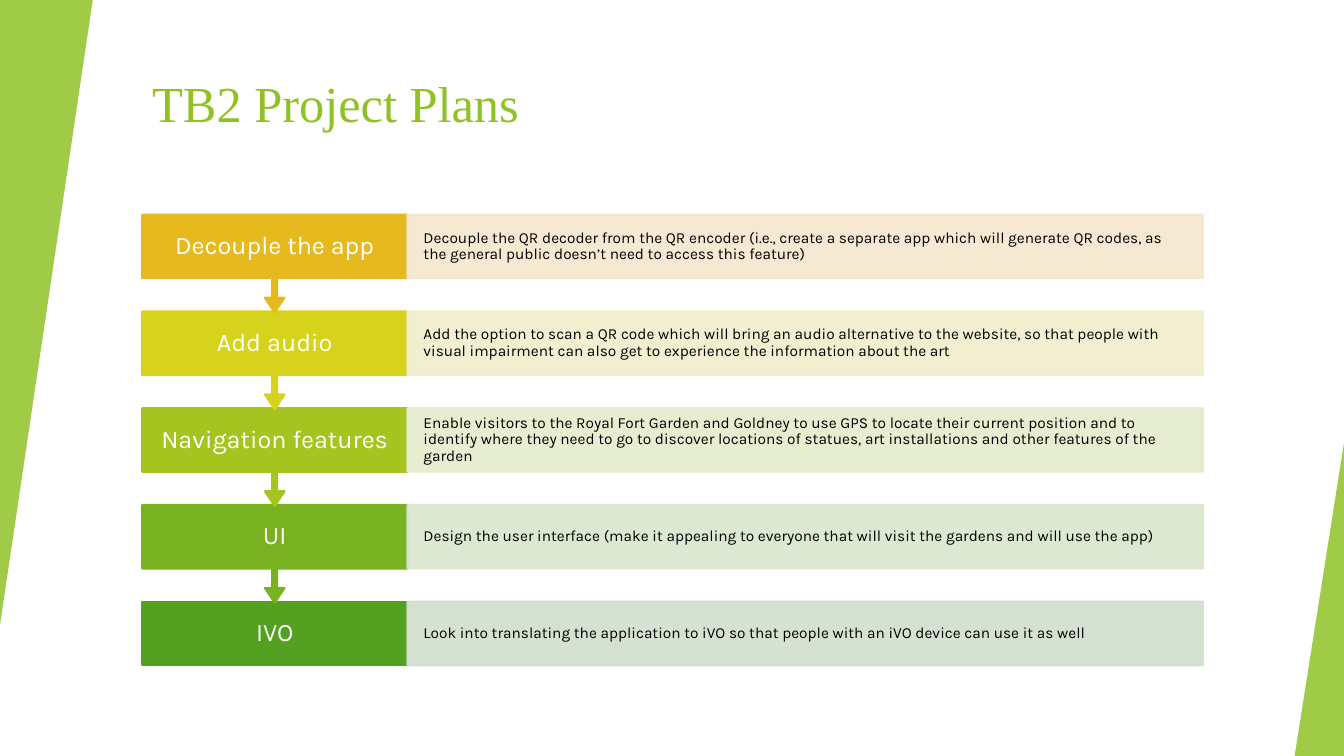
import pptx
import pptx.util
import pptx.dml.color
import pptx.enum.shapes
import pptx.enum.text
import pptx.oxml.ns
import lxml.etree
from dataclasses import dataclass

Inches = pptx.util.Inches
Shape = pptx.enum.shapes.MSO_SHAPE
Align = pptx.enum.text.PP_ALIGN
Anchor = pptx.enum.text.MSO_ANCHOR

TITLE = "TB2 Project Plans"
# Step name, strong colour, pale colour, description
STEPS = [
    ("Decouple the app", "E6B91E", "F5E7CD",
     "Decouple the QR decoder from the QR encoder (i.e., create a separate app which will "
     "generate QR codes, as the general public doesn’t need to access this feature)"),
    ("Add audio", "D7D31D", "F1EECC",
     "Add the option to scan a QR code which will bring an audio alternative to the website, "
     "so that people with visual impairment can also get to experience the information "
     "about the art"),
    ("Navigation features", "A5C41F", "E5ECCB",
     "Enable visitors to the Royal Fort Garden and Goldney to use GPS to locate their current "
     "position and to identify where they need to go to discover locations of statues, art "
     "installations and other features of the garden"),
    ("UI", "79B220", "D9E6CC",
     "Design the user interface (make it appealing to everyone that will visit the gardens "
     "and will use the app)"),
    ("IVO", "54A021", "D1DFCD",
     "Look into translating the application to iVO so that people with an iVO device can "
     "use it as well"),
]


@dataclass(frozen=True)
class Theme:
    accent: str = "90C226"
    light: str = "FFFFFF"
    dark: str = "000000"
    title_font: str = "Times New Roman"
    body_font: str = "Karla"
    title_size: int = 36
    step_size: int = 18
    detail_size: int = 11
    outline: float = 1.5
    wedge_opacity: int = 85
    detail_opacity: int = 90


THEME = Theme()
SLIDE_WIDTH, SLIDE_HEIGHT = 13.33, 7.5
LEFT, TOP = 1.41, 2.13
STEP_WIDTH, DETAIL_WIDTH = 2.63, 7.89
ROW_HEIGHT, ROW_PITCH, CALLOUT_HEIGHT = 0.63, 0.96, 0.97
CALLOUT_ADJUSTMENTS = (0.05, 0.1, 0.15, 0.65)


def rgb(color):
    return pptx.dml.color.RGBColor.from_string(color)


def set_opacity(element, percent):
    """Make every solid colour below the element partly transparent."""
    for color in element.iter(pptx.oxml.ns.qn("a:srgbClr")):
        alpha = lxml.etree.SubElement(color, pptx.oxml.ns.qn("a:alpha"))
        alpha.set("val", str(percent * 1000))


def add_block(slide, preset, place, color, opacity=100, outlined=True):
    block = slide.shapes.add_shape(preset, *map(Inches, place))
    block.shadow.inherit = False
    block.fill.solid()
    block.fill.fore_color.rgb = rgb(color)
    if outlined:
        block.line.color.rgb = rgb(color)
        block.line.width = pptx.util.Pt(THEME.outline)
    else:
        block.line.fill.background()
    if opacity < 100:
        set_opacity(block._element.spPr, opacity)
    return block


def write(shape, text, font, size, color, align, anchor, margins):
    """Fill the shape with one paragraph; margins are (horizontal, vertical)."""
    frame = shape.text_frame
    frame.word_wrap = True
    frame.auto_size = pptx.enum.text.MSO_AUTO_SIZE.NONE
    frame.vertical_anchor = anchor
    frame.margin_left = frame.margin_right = Inches(margins[0])
    frame.margin_top = frame.margin_bottom = Inches(margins[1])
    para = frame.paragraphs[0]
    para.alignment = align
    para.line_spacing = 0.9 if anchor == Anchor.MIDDLE else 1.0
    span = para.add_run()
    span.text = text
    span.font.name = font
    span.font.size = pptx.util.Pt(size)
    span.font.color.rgb = rgb(color)


def add_title(slide):
    title = slide.shapes.title
    title.left, title.top = Inches(LEFT), Inches(0.67)
    title.width, title.height = Inches(11.15), Inches(1.2)
    write(title, TITLE, THEME.title_font, THEME.title_size, THEME.accent,
          Align.LEFT, Anchor.TOP, (0.1, 0.05))


def add_wedges(slide):
    right_width, right_height = 0.49, 3.11
    wedges = [
        ((0, 0, 0.92, 6.2), 180),
        ((SLIDE_WIDTH - right_width, SLIDE_HEIGHT - right_height,
          right_width, right_height), 0),
    ]
    for place, rotation in wedges:
        wedge = add_block(slide, Shape.ISOSCELES_TRIANGLE, place, THEME.accent,
                          THEME.wedge_opacity, outlined=False)
        wedge.adjustments[0] = 1
        wedge.rotation = rotation


def add_step(slide, index):
    name, strong, pale, detail = STEPS[index]
    top = TOP + index * ROW_PITCH
    if index == len(STEPS) - 1:
        step = add_block(slide, Shape.RECTANGLE,
                         (LEFT, top, STEP_WIDTH, ROW_HEIGHT), strong)
    else:
        step = add_block(slide, Shape.DOWN_ARROW_CALLOUT,
                         (LEFT, top, STEP_WIDTH, CALLOUT_HEIGHT), strong)
        for position, value in enumerate(CALLOUT_ADJUSTMENTS):
            step.adjustments[position] = value
    write(step, name, THEME.body_font, THEME.step_size, THEME.light,
          Align.CENTER, Anchor.MIDDLE, (0.1, 0.14))
    panel = add_block(slide, Shape.RECTANGLE,
                      (LEFT + STEP_WIDTH, top, DETAIL_WIDTH, ROW_HEIGHT),
                      pale, THEME.detail_opacity)
    write(panel, detail, THEME.body_font, THEME.detail_size, THEME.dark,
          Align.LEFT, Anchor.MIDDLE, (0.16, 0.15))


def main():
    deck = pptx.Presentation()
    deck.slide_width, deck.slide_height = Inches(SLIDE_WIDTH), Inches(SLIDE_HEIGHT)
    page = deck.slides.add_slide(deck.slide_layouts[5])
    page.background.fill.solid()
    page.background.fill.fore_color.rgb = rgb(THEME.light)
    add_title(page)
    add_wedges(page)
    # Bottom row first, so each arrow tip lies over the row below it
    for index in reversed(range(len(STEPS))):
        add_step(page, index)
    deck.save("out.pptx")


if __name__ == "__main__":
    main()
